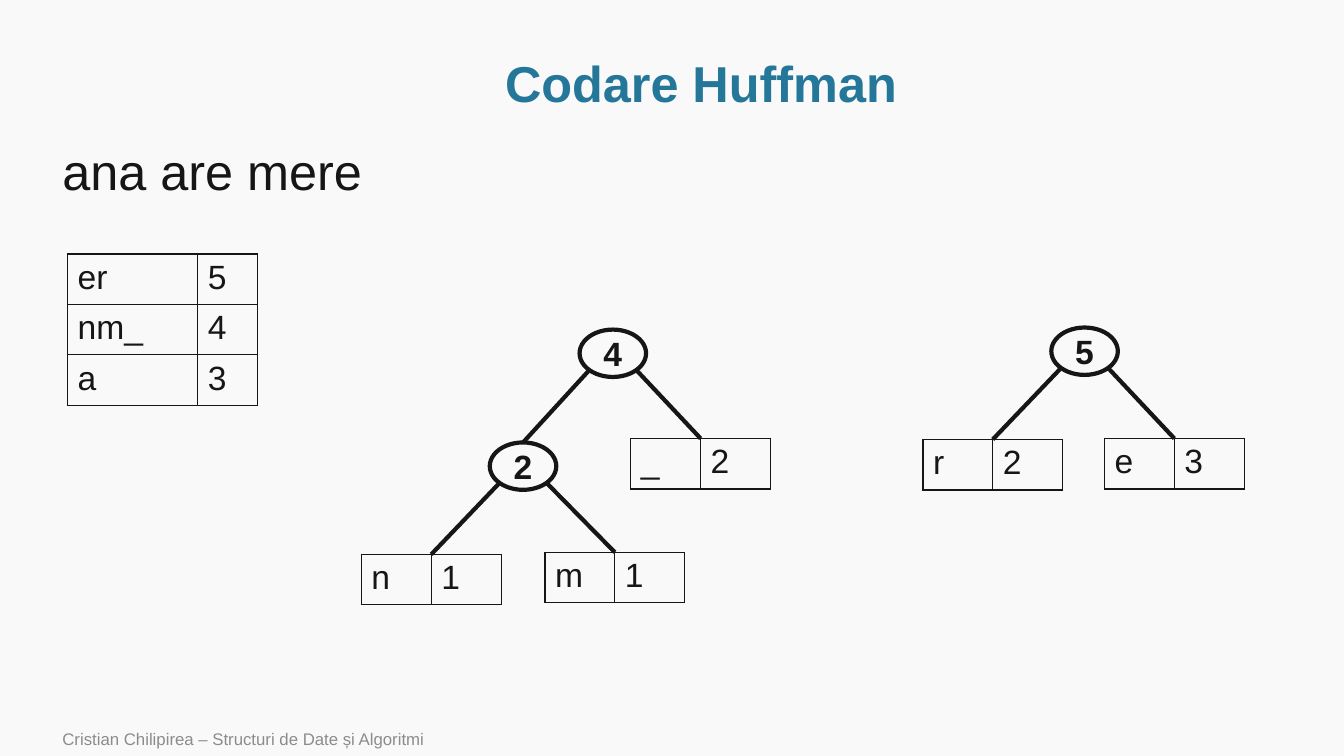
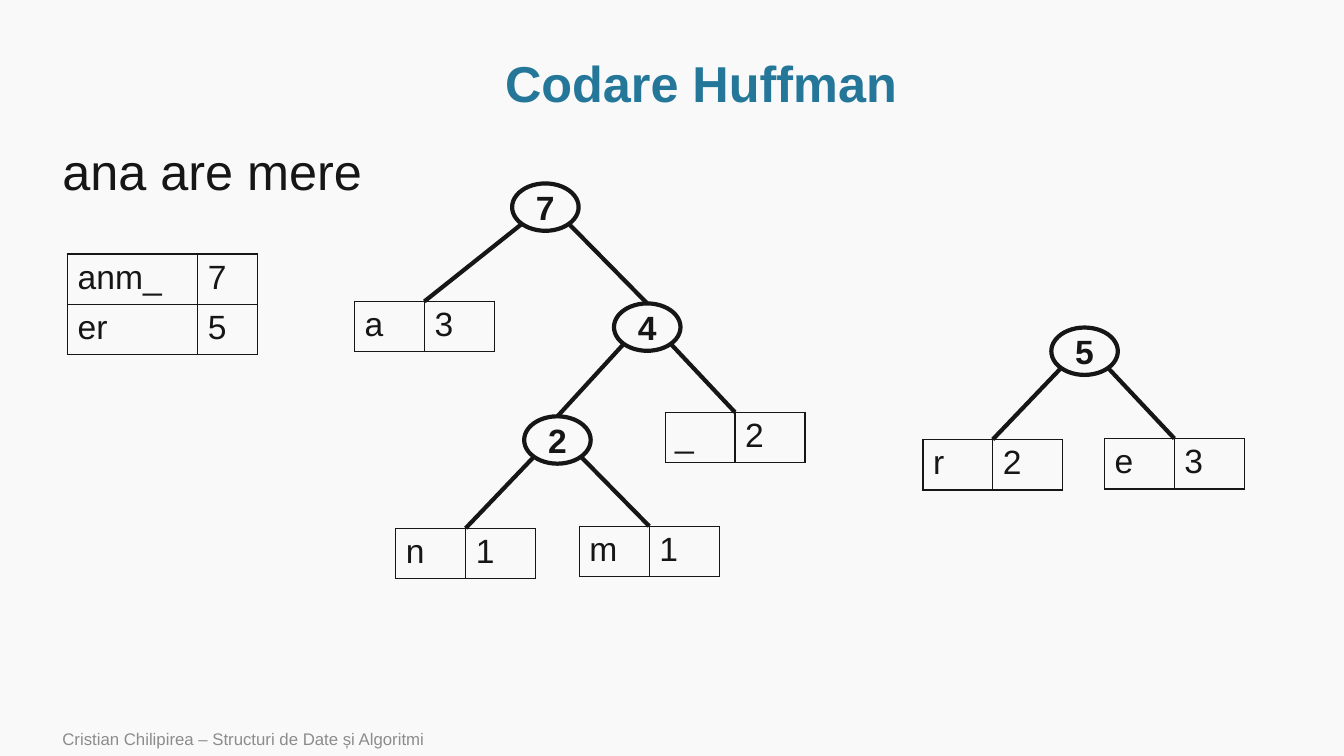
from lxml.etree import SubElement
from pptx import Presentation
from pptx.dml.color import RGBColor
from pptx.enum.shapes import MSO_CONNECTOR, MSO_SHAPE
from pptx.enum.text import MSO_ANCHOR, PP_ALIGN
from pptx.oxml import parse_xml
from pptx.oxml.ns import nsdecls, qn
from pptx.util import Inches, Pt

WIDE, HIGH = Inches(13.333), Inches(7.5)
FONT = "Arial"
HUES = {"back": "F9F9F9", "ink": "171616", "title": "247798", "foot": "8C8C8C"}

# Sizes in percent of the slide's width or height
NODE_W, NODE_H = 4.95, 6.27
ROW_H = 6.27
LEAF_COLS = (5.2, 5.2)
LIST_COLS = (9.68, 4.43)
LIST_AT = (5.03, 33.6)
DIAG = 0.5 ** 0.5  # where an ellipse meets its diagonal

# Trees: an inner node is (label, left, right), a leaf is (label, count).
# Each branch is (step across, step down, child).
PAIR = ("2", (-6.83, 14.8, ("n", "1")), (6.83, 14.53, ("m", "1")))
FOUR = ("4", (-6.68, 14.93, PAIR), (6.53, 14.4, ("_", "2")))
FIVE = ("5", (-6.83, 14.8, ("r", "2")), (6.68, 14.67, ("e", "3")))
SEVEN = ("7", (-9, 15.6, ("a", "3")), (7.58, 15.87, FOUR))

# Per slide: list rows, then trees as (middle, top, tree)
SLIDES = [
    ([("er", "5"), ("nm_", "4"), ("a", "3")],
     [(45.6, 43.6, FOUR), (80.7, 43.33, FIVE)]),
    ([("anm_", "7"), ("er", "5")],
     [(40.58, 24.27, SEVEN), (80.7, 43.33, FIVE)]),
]


def across(share):
    return round(WIDE * share / 100)


def down(share):
    return round(HIGH * share / 100)


def hue(name):
    return RGBColor.from_string(HUES[name])


def write(frame, text, size, tone="ink", bold=False, align=PP_ALIGN.LEFT):
    """Add one run to the first paragraph of a frame."""
    para = frame.paragraphs[0]
    para.alignment = align
    run = para.add_run()
    run.text = text
    font = run.font
    font.name, font.size, font.bold = FONT, Pt(size), bold
    font.color.rgb = hue(tone)
    return para


def label(slide, box, text, size, anchor, gap=None, **look):
    left, top, wide, high = box
    shape = slide.shapes.add_textbox(
        across(left), down(top), across(wide), down(high))
    frame = shape.text_frame
    frame.word_wrap = True
    frame.vertical_anchor = anchor
    para = write(frame, text, size, **look)
    if gap:
        para.line_spacing = gap


def border(cell):
    """Draw thin lines on all four sides of a cell."""
    props = cell._tc.get_or_add_tcPr()
    for spot, side in enumerate(("lnL", "lnR", "lnT", "lnB")):
        line = parse_xml(
            f'<a:{side} {nsdecls("a")} w="{Pt(1)}"><a:solidFill>'
            f'<a:srgbClr val="{HUES["ink"]}"/></a:solidFill></a:{side}>')
        props.insert(spot, line)


def grid(slide, left, top, cols, rows):
    table = slide.shapes.add_table(
        len(rows), len(cols), across(left), down(top),
        across(sum(cols)), down(ROW_H * len(rows))).table
    table.first_row = table.horz_banding = False
    for col, wide in zip(table.columns, cols):
        col.width = across(wide)
    for r, row in enumerate(rows):
        for c, text in enumerate(row):
            cell = table.cell(r, c)
            cell.fill.background()
            border(cell)
            write(cell.text_frame, text, 24)


def node(slide, mid, top, text):
    shape = slide.shapes.add_shape(
        MSO_SHAPE.OVAL, across(mid - NODE_W / 2), down(top),
        across(NODE_W), down(NODE_H))
    shape.shadow.inherit = False
    shape.fill.background()
    shape.line.color.rgb = hue("ink")
    shape.line.width = Pt(3)
    frame = shape.text_frame
    frame.margin_left = frame.margin_right = 0
    frame.margin_top = frame.margin_bottom = 0
    frame.vertical_anchor = MSO_ANCHOR.MIDDLE
    write(frame, text, 24, bold=True, align=PP_ALIGN.CENTER)
    return shape


def edge(slide, start, end, child):
    """Draw a branch, joined to the child's top if it is a node."""
    line = slide.shapes.add_connector(
        MSO_CONNECTOR.STRAIGHT, across(start[0]), down(start[1]),
        across(end[0]), down(end[1]))
    line.line.color.rgb = hue("ink")
    line.line.width = Pt(3)
    SubElement(line._element.spPr, qn("a:effectLst"))
    if child is not None:
        line.end_connect(child, 0)


def tree(slide, mid, top, root):
    """Draw a tree from its root down; return the root if a node."""
    if len(root) == 2:
        grid(slide, mid - LEAF_COLS[0], top, LEAF_COLS, [root])
        return None
    text, *kids = root
    shape = node(slide, mid, top, text)
    for side, (step, drop, kid) in zip((-1, 1), kids):
        end = (mid + step, top + drop)
        child = tree(slide, *end, kid)
        start = (mid + side * NODE_W / 2 * DIAG,
                 top + NODE_H / 2 * (1 + DIAG))
        edge(slide, start, end, child)
    return shape


def base(slide):
    """Add the footer, title and phrase that every slide shows."""
    label(slide, (3.9, 95.47, 63, 4.53),
          "Cristian Chilipirea – Structuri de Date și Algoritmi", 12,
          MSO_ANCHOR.MIDDLE, tone="foot")
    label(slide, (8.55, 6.8, 87.22, 9.2), "Codare Huffman", 36,
          MSO_ANCHOR.MIDDLE, gap=0.9, tone="title", bold=True,
          align=PP_ALIGN.CENTER)
    label(slide, (3.9, 18.8, 91.88, 73.07), "ana are mere", 36,
          MSO_ANCHOR.TOP, gap=0.9)


def main():
    deck = Presentation()
    deck.slide_width, deck.slide_height = WIDE, HIGH
    fill = deck.slide_master.background.fill
    fill.solid()
    fill.fore_color.rgb = hue("back")
    for rows, trees in SLIDES:
        slide = deck.slides.add_slide(deck.slide_layouts[6])
        base(slide)
        grid(slide, *LIST_AT, LIST_COLS, rows)
        for mid, top, root in trees:
            tree(slide, mid, top, root)
    deck.save("out.pptx")


if __name__ == "__main__":
    main()
